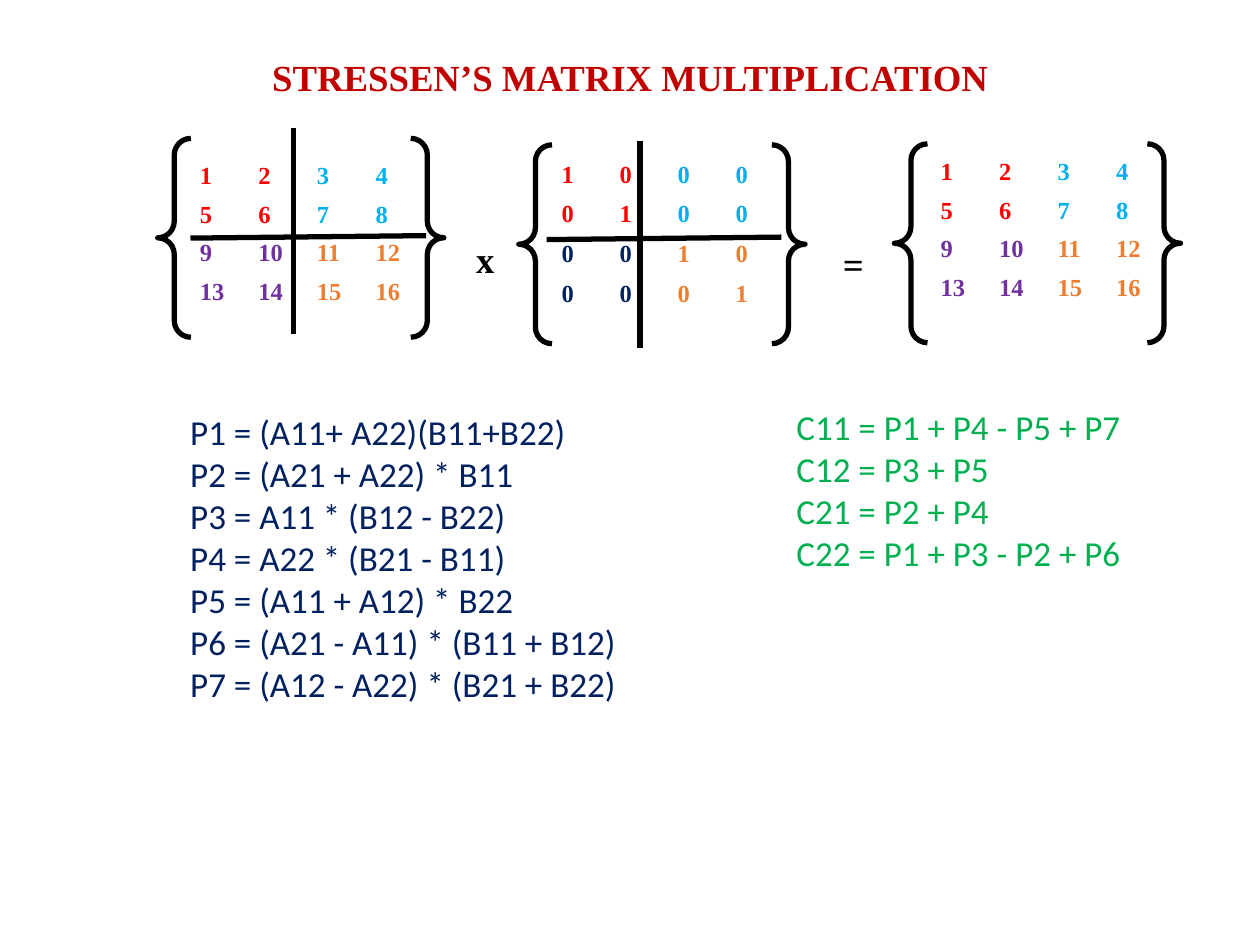
import dataclasses

import lxml.etree
import pptx
import pptx.dml.color
import pptx.enum.shapes
import pptx.enum.text
import pptx.oxml.ns
import pptx.util

Cm = pptx.util.Cm
Pt = pptx.util.Pt
NO_STYLE_NO_GRID = "{2D5ABB26-0587-4C30-8999-92F81FD0307C}"


@dataclasses.dataclass(frozen=True)
class Theme:
    serif: str = "Times New Roman"
    sans: str = "Calibri"
    heading_size: int = 21
    formula_size: int = 20
    entry_size: int = 14
    line_width: int = 3
    heading: str = "C00000"
    ink: str = "000000"
    red: str = "FF0000"
    blue: str = "00B0F0"
    purple: str = "7030A0"
    orange: str = "ED7D31"
    navy: str = "002060"
    green: str = "00B050"


def color(value):
    return pptx.dml.color.RGBColor.from_string(value)


def place(shape, box):
    shape.left, shape.top, shape.width, shape.height = (Cm(length) for length in box)


class SlideBuilder:
    def __init__(self, slide, theme):
        self.slide = slide
        self.theme = theme

    def add_run(self, paragraph, text, font_name, size, font_color, bold=False):
        run = paragraph.add_run()
        run.text = text
        run.font.name = font_name
        run.font.size = Pt(size)
        run.font.bold = bold
        run.font.color.rgb = color(font_color)

    def style_line(self, shape):
        shape.line.color.rgb = color(self.theme.ink)
        shape.line.width = Pt(self.theme.line_width)

    def title(self, text, box):
        shape = self.slide.shapes.title
        place(shape, box)
        frame = shape.text_frame
        frame.auto_size = pptx.enum.text.MSO_AUTO_SIZE.NONE
        frame.vertical_anchor = pptx.enum.text.MSO_ANCHOR.BOTTOM
        paragraph = frame.paragraphs[0]
        paragraph.alignment = pptx.enum.text.PP_ALIGN.CENTER
        paragraph.line_spacing = 0.9
        self.add_run(paragraph, text, self.theme.serif, self.theme.heading_size,
                     self.theme.heading, bold=True)

    def formulas(self, placeholder_index, lines, box, font_color):
        """Fill a body placeholder with one unbulleted paragraph per formula."""
        shape = self.slide.placeholders[placeholder_index]
        place(shape, box)
        frame = shape.text_frame
        frame.auto_size = pptx.enum.text.MSO_AUTO_SIZE.NONE
        for number, line in enumerate(lines):
            paragraph = frame.add_paragraph() if number else frame.paragraphs[0]
            paragraph.space_before = Pt(0)
            properties = paragraph._p.get_or_add_pPr()
            properties.set("marL", "0")
            properties.set("indent", "0")
            lxml.etree.SubElement(properties, pptx.oxml.ns.qn("a:buNone"))
            self.add_run(paragraph, line, self.theme.sans, self.theme.formula_size, font_color)

    def matrix(self, rows, left, top, column_width, row_height, quadrant_colors):
        """Draw a table whose four quadrants each have their own text colour."""
        row_count, column_count = len(rows), len(rows[0])
        table = self.slide.shapes.add_table(
            row_count, column_count, Cm(left), Cm(top),
            Cm(column_width * column_count), Cm(row_height * row_count)).table
        table.first_row = False
        table.horz_banding = False
        table._tbl.tblPr.find(pptx.oxml.ns.qn("a:tableStyleId")).text = NO_STYLE_NO_GRID
        for row_index, row in enumerate(rows):
            for column_index, value in enumerate(row):
                cell = table.cell(row_index, column_index)
                cell.fill.background()
                cell.margin_left = cell.margin_right = Cm(0.19)
                cell.margin_top = cell.margin_bottom = Cm(0.1)
                quadrant = quadrant_colors[2 * row_index // row_count][2 * column_index // column_count]
                self.add_run(cell.text_frame.paragraphs[0], str(value), self.theme.serif,
                             self.theme.entry_size, quadrant, bold=True)

    def braces(self, left, top):
        shape = self.slide.shapes.add_shape(
            pptx.enum.shapes.MSO_SHAPE.DOUBLE_BRACE, Cm(left), Cm(top), Cm(5.77), Cm(4.01))
        shape.shadow.inherit = False
        shape.fill.background()
        self.style_line(shape)

    def divider(self, *ends):
        connector = self.slide.shapes.add_connector(
            pptx.enum.shapes.MSO_CONNECTOR.STRAIGHT, *(Cm(length) for length in ends))
        self.style_line(connector)
        lxml.etree.SubElement(connector._element.spPr, pptx.oxml.ns.qn("a:effectLst"))

    def operator(self, symbol, left, top):
        frame = self.slide.shapes.add_textbox(Cm(left), Cm(top), Cm(0.46), Cm(1.14)).text_frame
        frame.word_wrap = True
        frame.margin_left, frame.margin_right = Cm(0.2), Cm(0)
        self.add_run(frame.paragraphs[0], symbol, self.theme.serif,
                     self.theme.heading_size, self.theme.ink, bold=True)


def main():
    presentation = pptx.Presentation()
    presentation.slide_width, presentation.slide_height = Cm(25.4), Cm(19.05)
    two_content_layout = presentation.slide_layouts[3]
    theme = Theme()
    builder = SlideBuilder(presentation.slides.add_slide(two_content_layout), theme)

    builder.title("STRESSEN’S MATRIX MULTIPLICATION", (3.18, 1.14, 19.05, 0.99))

    counting = [[4 * row + column + 1 for column in range(4)] for row in range(4)]
    identity = [[int(row == column) for column in range(4)] for row in range(4)]
    upper_colors = (theme.red, theme.blue)
    counting_colors = (upper_colors, (theme.purple, theme.orange))
    identity_colors = (upper_colors, (theme.navy, theme.orange))
    builder.matrix(counting, 3.84, 3.18, 1.18, 0.78, counting_colors)
    builder.matrix(identity, 11.13, 3.15, 1.17, 0.8, identity_colors)
    builder.matrix(counting, 18.77, 3.1, 1.18, 0.78, counting_colors)

    for left, top in ((3.18, 2.79), (10.46, 2.92), (18.03, 2.9)):
        builder.braces(left, top)

    builder.operator("x", 9.4, 4.65)
    builder.operator("=", 16.79, 4.75)

    for ends in ((5.92, 2.59, 5.92, 6.73), (3.84, 4.8, 8.59, 4.75),
                 (12.9, 2.84, 12.9, 7.01), (11.02, 4.83, 15.75, 4.78)):
        builder.divider(*ends)

    builder.formulas(1, (
        "P1 = (A11+ A22)(B11+B22)",
        "P2 = (A21 + A22) * B11",
        "P3 = A11 * (B12 - B22)",
        "P4 = A22 * (B21 - B11)",
        "P5 = (A11 + A12) * B22",
        "P6 = (A21 - A11) * (B11 + B12)",
        "P7 = (A12 - A22) * (B21 + B22)",
    ), (3.58, 8.15, 10.62, 6.25), theme.navy)
    builder.formulas(2, (
        "C11 = P1 + P4 - P5 + P7",
        "C12 = P3 + P5",
        "C21 = P2 + P4",
        "C22 = P1 + P3 - P2 + P6",
    ), (15.8, 8.05, 7.7, 3.68), theme.green)

    presentation.save("out.pptx")


if __name__ == "__main__":
    main()
